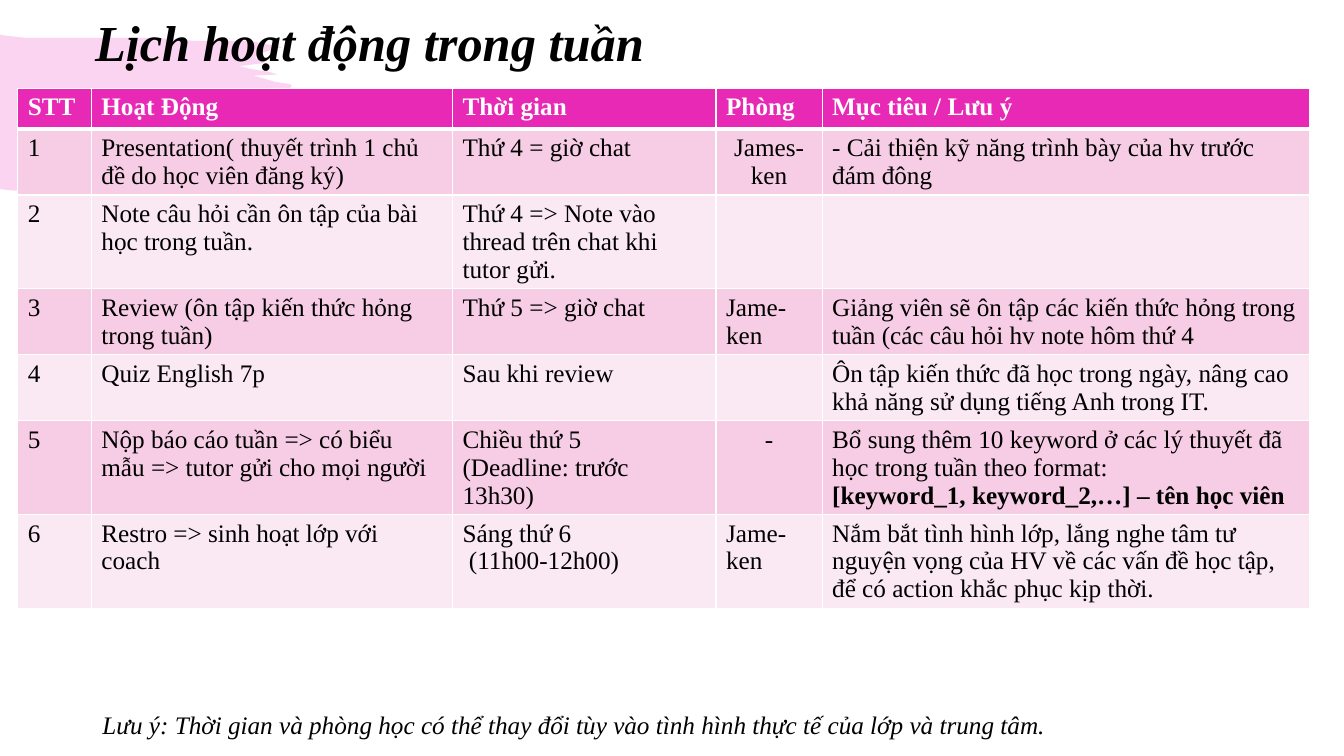
from lxml import etree
from pptx import Presentation
from pptx import util as u
from pptx.dml.color import RGBColor
from pptx.enum import text
from pptx.oxml.ns import qn

PINK, WHITE, BLACK = "E729B5", "FFFFFF", "000000"
BANDS = ("F6CDE5", "FAE8F3")

BRUSH = [
    (0, 33), (6, 34), (24, 36), (63, 36), (98, 36), (145, 36), (186, 39),
    (238, 39), (269, 45), (260, 47), (245, 52), (243, 55), (246, 57),
    (252, 60), (228, 63), (236, 65), (246, 67), (255, 68), (264, 71),
    (241, 72), (252, 75), (262, 78), (269, 79), (276, 80), (278, 82),
    (276, 84), (273, 84), (252, 84), (317, 90), (308, 93), (305, 102),
    (295, 107), (288, 108), (272, 111), (269, 115), (267, 120), (263, 123),
    (296, 123), (258, 132), (262, 136), (242, 142), (252, 142), (189, 165),
    (98, 180), (62, 183), (22, 182), (7, 181), (0, 180),
]

COLUMNS = [70, 344, 251, 101, 464]
CENTERED = {(1, 3), (5, 3)}
SCHEDULE = [
    ["STT", "Hoạt Động", "Thời gian", "Phòng", "Mục tiêu / Lưu ý"],
    ["1", "Presentation( thuyết trình 1 chủ đề do học viên đăng ký)",
     "Thứ 4 = giờ chat", "James-ken",
     "- Cải thiện kỹ năng trình bày của hv trước đám đông"],
    ["2", "Note câu hỏi cần ôn tập của bài học trong tuần.",
     "Thứ 4 => Note vào thread trên chat khi tutor gửi.", "", ""],
    ["3", "Review (ôn tập kiến thức hỏng trong tuần)",
     "Thứ 5 => giờ chat", "Jame-ken",
     "Giảng viên sẽ ôn tập các kiến thức hỏng trong tuần "
     "(các câu hỏi hv note hôm thứ 4"],
    ["4", "Quiz English 7p", "Sau khi review", "",
     "Ôn tập kiến thức đã học trong ngày, nâng cao khả năng sử dụng "
     "tiếng Anh trong IT."],
    ["5", "Nộp báo cáo tuần => có biểu mẫu => tutor gửi cho mọi người",
     "Chiều thứ 5\n(Deadline: trước 13h30)", "-",
     "Bổ sung thêm 10 keyword ở các lý thuyết đã học trong tuần theo format:"
     "\v[keyword_1, keyword_2,…] – tên học viên"],
    ["6", "Restro => sinh hoạt lớp với coach",
     "Sáng thứ 6\n (11h00-12h00)", "Jame-ken",
     "Nắm bắt tình hình lớp, lắng nghe tâm tư nguyện vọng của HV về các "
     "vấn đề học tập, để có action khắc phục kịp thời."],
]


def px(n):
    return u.Emu(n * 9525)


def rgb(value):
    return RGBColor.from_string(value)


class Deck:
    font = "Times New Roman"

    def __init__(self, width, height):
        self.prs = Presentation()
        self.prs.slide_width, self.prs.slide_height = px(width), px(height)
        self.s = self.prs.slides.add_slide(self.prs.slide_layouts[5])

    def place(self, sp, x, y, w, h):
        sp.left, sp.top, sp.width, sp.height = px(x), px(y), px(w), px(h)

    def style(self, font, size=18, color=BLACK, bold=False, italic=False):
        font.name, font.size = self.font, u.Pt(size)
        font.bold, font.italic = bold, italic
        font.color.rgb = rgb(color)

    def title(self, words, *box):
        sp = self.s.shapes.title
        self.place(sp, *box)
        tf = sp.text_frame
        tf.text = words
        tf.vertical_anchor = text.MSO_ANCHOR.MIDDLE
        p = tf.paragraphs[0]
        p.alignment = text.PP_ALIGN.LEFT
        p.line_spacing = 0.9
        self.style(p.runs[0].font, 36, bold=True, italic=True)

    def backdrop(self, points, color, opacity):
        builder = self.s.shapes.build_freeform(*points[0], scale=px(1))
        builder.add_line_segments(points[1:], close=True)
        sp = builder.convert_to_shape()
        sp.shadow.inherit = False
        sp.line.fill.background()
        sp.fill.solid()
        sp.fill.fore_color.rgb = rgb(color)
        clr = sp._element.spPr.find(".//" + qn("a:srgbClr"))
        etree.SubElement(clr, qn("a:alpha"), val=str(opacity * 1000))
        self.s.shapes.title._element.addprevious(sp._element)

    def note(self, words, *box):
        sp = self.s.shapes.add_textbox(*map(px, box))
        tf = sp.text_frame
        tf.word_wrap = True
        tf.auto_size = text.MSO_AUTO_SIZE.SHAPE_TO_FIT_TEXT
        tf.text = words
        self.style(tf.paragraphs[0].runs[0].font, italic=True)

    def borders(self, cell, top, bottom):
        tc_pr = cell._tc.get_or_add_tcPr()
        for i, (side, pt) in enumerate(zip("LRTB", (1, 1, top, bottom))):
            ln = etree.Element(qn("a:ln" + side), w=str(u.Pt(pt)))
            fill = etree.SubElement(ln, qn("a:solidFill"))
            etree.SubElement(fill, qn("a:srgbClr"), val=WHITE)
            tc_pr.insert(i, ln)

    def table(self, rows, columns, x, y, row_height):
        frame = self.s.shapes.add_table(
            len(rows), len(columns), px(x), px(y),
            px(sum(columns)), px(row_height * len(rows)))
        tbl = frame.table
        for col, width in zip(tbl.columns, columns):
            col.width = px(width)
        for i, row in enumerate(rows):
            tbl.rows[i].height = px(row_height)
            for j, words in enumerate(row):
                self.cell(tbl.cell(i, j), words, i, (i, j) in CENTERED)

    def cell(self, cell, words, row, centered):
        header = row == 0
        cell.fill.solid()
        cell.fill.fore_color.rgb = rgb(PINK if header else BANDS[(row - 1) % 2])
        self.borders(cell, 3 if row == 1 else 1, 3 if header else 1)
        cell.text_frame.text = words
        for p in cell.text_frame.paragraphs:
            if centered:
                p.alignment = text.PP_ALIGN.CENTER
            for r in p.runs:
                self.style(r.font, color=WHITE if header else BLACK,
                           bold=header or r.text.startswith("["))


def main():
    deck = Deck(1280, 720)
    deck.backdrop(BRUSH, PINK, 20)
    deck.title("Lịch hoạt động trong tuần", 81, 14, 1104, 59)
    deck.table(SCHEDULE, COLUMNS, 17, 84, 39)
    deck.note("Lưu ý: Thời gian và phòng học có thể thay đổi tùy vào "
              "tình hình thực tế của lớp và trung tâm.", 88, 671, 1089, 38)
    deck.prs.save("out.pptx")


if __name__ == "__main__":
    main()
